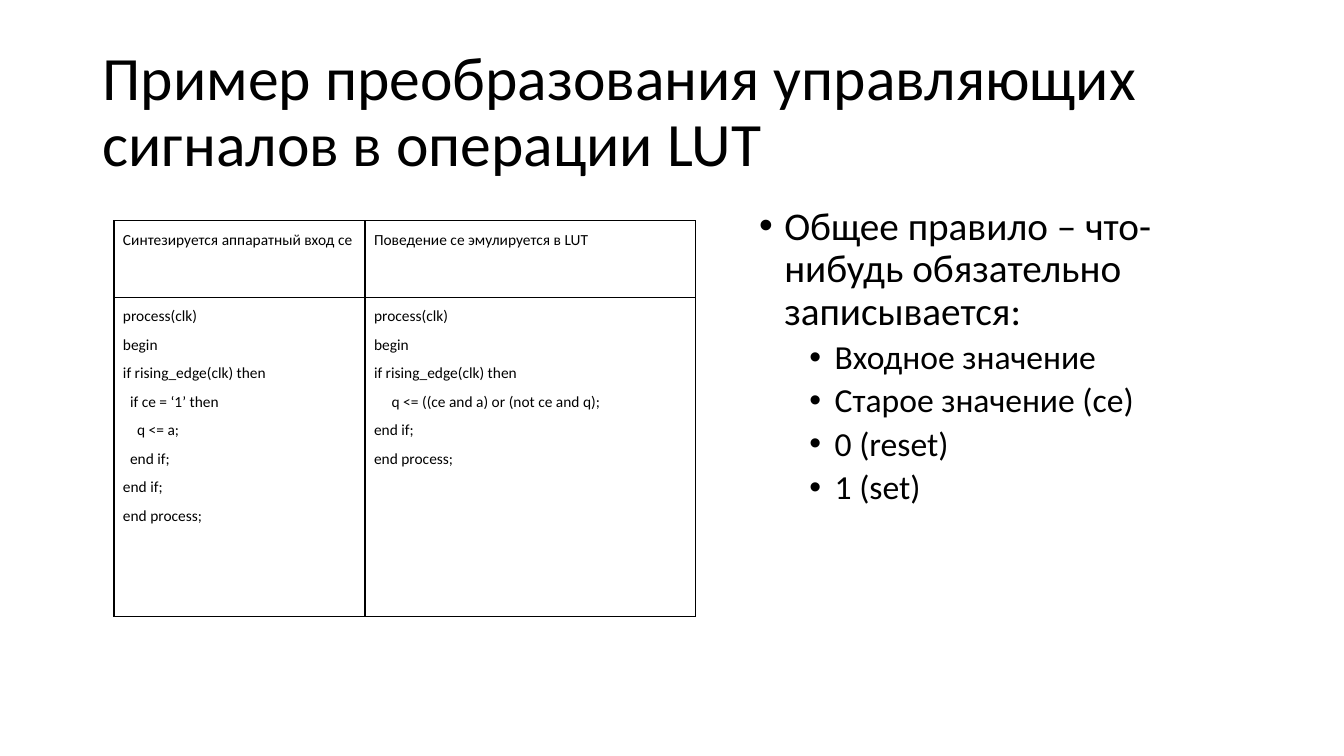
from lxml import etree
from pptx import Presentation
from pptx.dml.color import RGBColor
from pptx.enum import text
from pptx.oxml.ns import qn
from pptx.util import Inches, Pt

BLACK = "000000"
CODE_STEP = 0.07  # one nesting level of the listings

TITLE = "Пример преобразования управляющих сигналов в операции LUT"
RULES = [
    (0, "Общее правило – что-нибудь обязательно записывается:"),
    (1, "Входное значение"),
    (1, "Старое значение (ce)"),
    (1, "0 (reset)"),
    (1, "1 (set)"),
]
# Each cell is a list of (nesting level, line)
LISTINGS = [
    [
        [(0, "Синтезируется аппаратный вход ce")],
        [(0, "Поведение ce эмулируется в LUT")],
    ],
    [
        [
            (0, "process(clk)"),
            (0, "begin"),
            (0, "if rising_edge(clk) then"),
            (1, "if ce = ‘1’ then"),
            (2, "q <= a;"),
            (1, "end if;"),
            (0, "end if;"),
            (0, "end process;"),
        ],
        [
            (0, "process(clk)"),
            (0, "begin"),
            (0, "if rising_edge(clk) then"),
            (2.5, "q <= ((ce and a) or (not ce and q);"),
            (0, "end if;"),
            (0, "end process;"),
        ],
    ],
]


def add_line(tf, i, line, size, spacing):
    """Write paragraph i of a text frame and return it."""
    p = tf.paragraphs[0] if i == 0 else tf.add_paragraph()
    p.text = line
    p.line_spacing = spacing
    p.font.name = "Calibri"
    p.font.size = Pt(size)
    p.font.bold = False
    p.font.color.rgb = RGBColor.from_string(BLACK)
    return p


def set_indent(p, left, first):
    pPr = p._p.get_or_add_pPr()
    pPr.set("marL", str(Inches(left)))
    pPr.set("indent", str(Inches(first)))
    return pPr


prs = Presentation()
prs.slide_width = Inches(13.33)
prs.slide_height = Inches(7.5)
s = prs.slides.add_slide(prs.slide_layouts[6])

# Title
title = s.shapes.add_textbox(Inches(0.92), Inches(0.4), Inches(11.5), Inches(1.45))
tf = title.text_frame
tf.word_wrap = True
tf.vertical_anchor = text.MSO_ANCHOR.MIDDLE
add_line(tf, 0, TITLE, 44, 0.9)

# Bulleted rules
rules = s.shapes.add_textbox(Inches(7.43), Inches(2), Inches(4.99), Inches(4.76))
tf = rules.text_frame
tf.word_wrap = True
for i, (level, line) in enumerate(RULES):
    p = add_line(tf, i, line, 28 - 4 * level, 0.9)
    p.level = level
    p.space_before = Pt(10 - 5 * level)
    pPr = set_indent(p, 0.25 + 0.5 * level, -0.25)
    bullet_font = etree.Element(qn("a:buFont"), typeface="Arial")
    bullet = etree.Element(qn("a:buChar"), char="•")
    pPr.insert_element_before(bullet_font, "a:buChar", "a:tabLst", "a:defRPr", "a:extLst")
    pPr.insert_element_before(bullet, "a:tabLst", "a:defRPr", "a:extLst")

# Code table
frame = s.shapes.add_table(2, 2, Inches(1.13), Inches(2.19), Inches(5.77), Inches(3.93))
table = frame.table
table.first_row = False
table.horz_banding = False
for column, width in zip(table.columns, (2.49, 3.28)):
    column.width = Inches(width)
for row, height, listings in zip(table.rows, (0.76, 3.17), LISTINGS):
    row.height = Inches(height)
    for cell, listing in zip(row.cells, listings):
        cell.margin_left = cell.margin_right = Inches(0.07)
        cell.margin_top = cell.margin_bottom = 0
        for i, (level, line) in enumerate(listing):
            p = add_line(cell.text_frame, i, line, 11, 1.5)
            p.alignment = text.PP_ALIGN.JUSTIFY
            set_indent(p, CODE_STEP * level, 0.02)
        tcPr = cell._tc.get_or_add_tcPr()
        for side in ("lnL", "lnR", "lnT", "lnB"):
            ln = etree.SubElement(tcPr, qn(f"a:{side}"), w=str(Pt(1)))
            fill = etree.SubElement(ln, qn("a:solidFill"))
            etree.SubElement(fill, qn("a:srgbClr"), val=BLACK)
        cell.fill.background()

prs.save("out.pptx")
